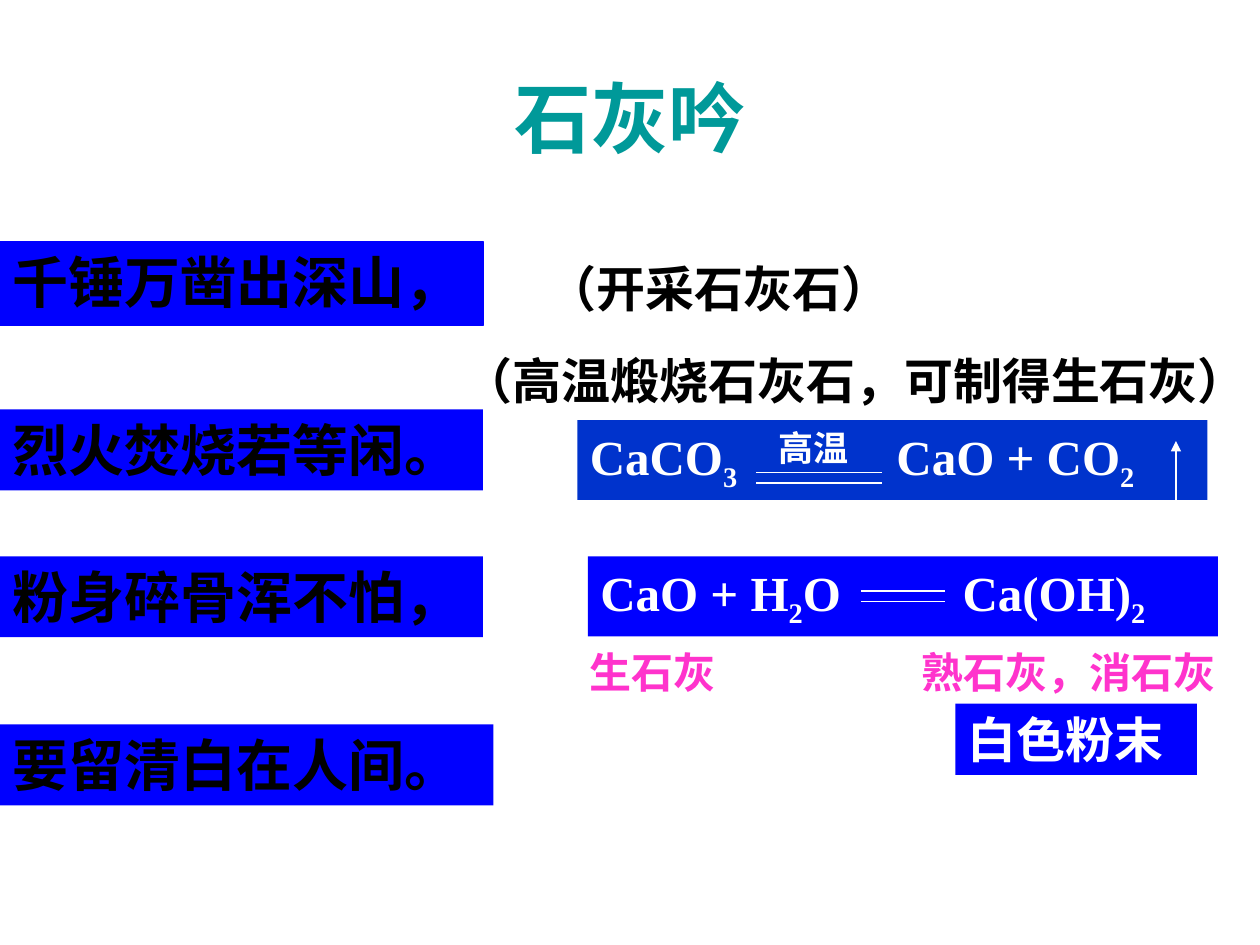
from dataclasses import dataclass
from typing import Optional

from lxml import etree
from pptx import Presentation
from pptx.dml.color import RGBColor
from pptx.enum.shapes import MSO_CONNECTOR, MSO_SHAPE
from pptx.enum.text import MSO_ANCHOR, PP_ALIGN
from pptx.oxml.ns import qn
from pptx.util import Inches, Pt

RECT = MSO_SHAPE.RECTANGLE
STRAIGHT = MSO_CONNECTOR.STRAIGHT
LEFT, CENTER = PP_ALIGN.LEFT, PP_ALIGN.CENTER
TOP, MIDDLE = MSO_ANCHOR.TOP, MSO_ANCHOR.MIDDLE

COLORS = {"teal": "009999", "blue": "0000FF", "navy": "0033CC",
          "black": "000000", "white": "FFFFFF", "pink": "FF33CC"}
SERIF, SANS, CJK = "Times New Roman", "Arial", "Noto Sans CJK SC"
CELL = Inches(1) / 12  # the slide is a grid of 120 columns and 90 rows


@dataclass
class Box:
    """A text block in grid cells; "_" in the text lowers the next character."""
    text: str
    x: float
    y: float
    w: float
    h: float
    size: int
    color: str = "black"
    fill: Optional[str] = None
    outline: Optional[str] = None
    font: str = SERIF
    align: int = LEFT
    anchor: int = TOP
    tab: Optional[float] = None


@dataclass
class Rule:
    x1: float
    y1: float
    x2: float
    y2: float
    arrow: bool = False


def grid(cells: float) -> int:
    return round(cells * CELL)


def rgb(name: str) -> RGBColor:
    return RGBColor.from_string(COLORS[name])


def add_run(p, text: str, box: Box, lowered: bool = False) -> None:
    r = p.add_run()
    r.text = text
    r.font.size, r.font.bold, r.font.name = Pt(box.size), True, box.font
    r.font.color.rgb = rgb(box.color)
    rPr = r._r.get_or_add_rPr()
    rPr.find(qn("a:latin")).addnext(
        etree.Element(qn("a:ea"), typeface=CJK))
    if lowered:
        rPr.set("baseline", "-25000")


def draw_box(shapes, box: Box) -> None:
    area = [grid(v) for v in (box.x, box.y, box.w, box.h)]
    if box.fill:
        sp = shapes.add_shape(RECT, *area)
        sp.shadow.inherit = False
        sp.fill.solid()
        sp.fill.fore_color.rgb = rgb(box.fill)
        if box.outline:
            sp.line.color.rgb = rgb(box.outline)
            sp.line.width = Pt(0.75)
        else:
            sp.line.fill.background()
    else:
        sp = shapes.add_textbox(*area)
    tf = sp.text_frame
    tf.word_wrap = True
    tf.vertical_anchor = box.anchor
    p = tf.paragraphs[0]
    p.alignment = box.align
    if box.tab:
        tabs = etree.SubElement(p._p.get_or_add_pPr(), qn("a:tabLst"))
        etree.SubElement(tabs, qn("a:tab"), pos=str(grid(box.tab)), algn="l")
    first, *rest = box.text.split("_")
    add_run(p, first, box)
    for part in rest:
        add_run(p, part[0], box, lowered=True)
        if part[1:]:
            add_run(p, part[1:], box)


def draw_rule(shapes, rule: Rule) -> None:
    line = shapes.add_connector(
        STRAIGHT, *(grid(v) for v in (rule.x1, rule.y1, rule.x2, rule.y2)))
    line.line.color.rgb = rgb("white")
    line.line.width = Pt(0.75)
    if rule.arrow:
        etree.SubElement(line.line._get_or_add_ln(), qn("a:tailEnd"),
                         type="triangle")
    etree.SubElement(line._element.spPr, qn("a:effectLst"))


def verse(text: str, y: float, w: float = 46, h: float = 7.7, **style) -> Box:
    return Box(text, 0, y, w, h, 32, fill="blue", **style)


def equation(text: str, x: float, y: float, fill: str, tab: float) -> Box:
    return Box(text, x, y, 60, 7.6, 28, "white", fill, tab=tab)


def equals(x1: float, x2: float, y: float) -> list[Rule]:
    return [Rule(x1, row, x2, row) for row in (y, y + 1)]


# Title, poem and notes
TEXTS = [
    Box("石灰吟", 6, 3.6, 108, 15, 44, "teal", font=SANS,
        align=CENTER, anchor=MIDDLE),
    verse("千锤万凿出深山，", 23, h=8, outline="blue", font=SANS),
    verse("烈火焚烧若等闲。", 39),
    verse("粉身碎骨浑不怕，", 53),
    verse("要留清白在人间。", 69, w=47),
    Box("（开采石灰石）", 51, 24, 39, 6.8, 28),
    Box("（高温煅烧石灰石，可制得生石灰）", 43, 32.8, 89.8, 6.8, 28, font=CJK),
    Box("生石灰", 55, 61, 15, 13.3, 24, "pink"),
    Box("熟石灰，消石灰", 86.6, 61, 31, 6, 24, "pink"),
    Box("白色粉末", 91, 67, 23, 6.8, 28, "white", "blue"),
]

# Each reaction is a group of boxes and rules
REACTIONS = [
    ([equation("CaCO_3\tCaO + CO_2", 55, 40, "navy", 29.2),
      Box("高温", 73, 40, 12, 5.3, 20, "white")],
     equals(72, 84, 45) + [Rule(112, 48, 112, 42, arrow=True)]),
    ([equation("CaO + H_2O\tCa(OH)_2", 56, 53, "blue", 34.5)],
     equals(82, 90, 56.3)),
]


def main() -> None:
    prs = Presentation()
    prs.slide_width, prs.slide_height = grid(120), grid(90)
    s = prs.slides.add_slide(prs.slide_layouts[6])
    for box in TEXTS:
        draw_box(s.shapes, box)
    for boxes, rules in REACTIONS:
        group = s.shapes.add_group_shape()
        for box in boxes:
            draw_box(group.shapes, box)
        for rule in rules:
            draw_rule(group.shapes, rule)
    prs.save("out.pptx")


if __name__ == "__main__":
    main()
